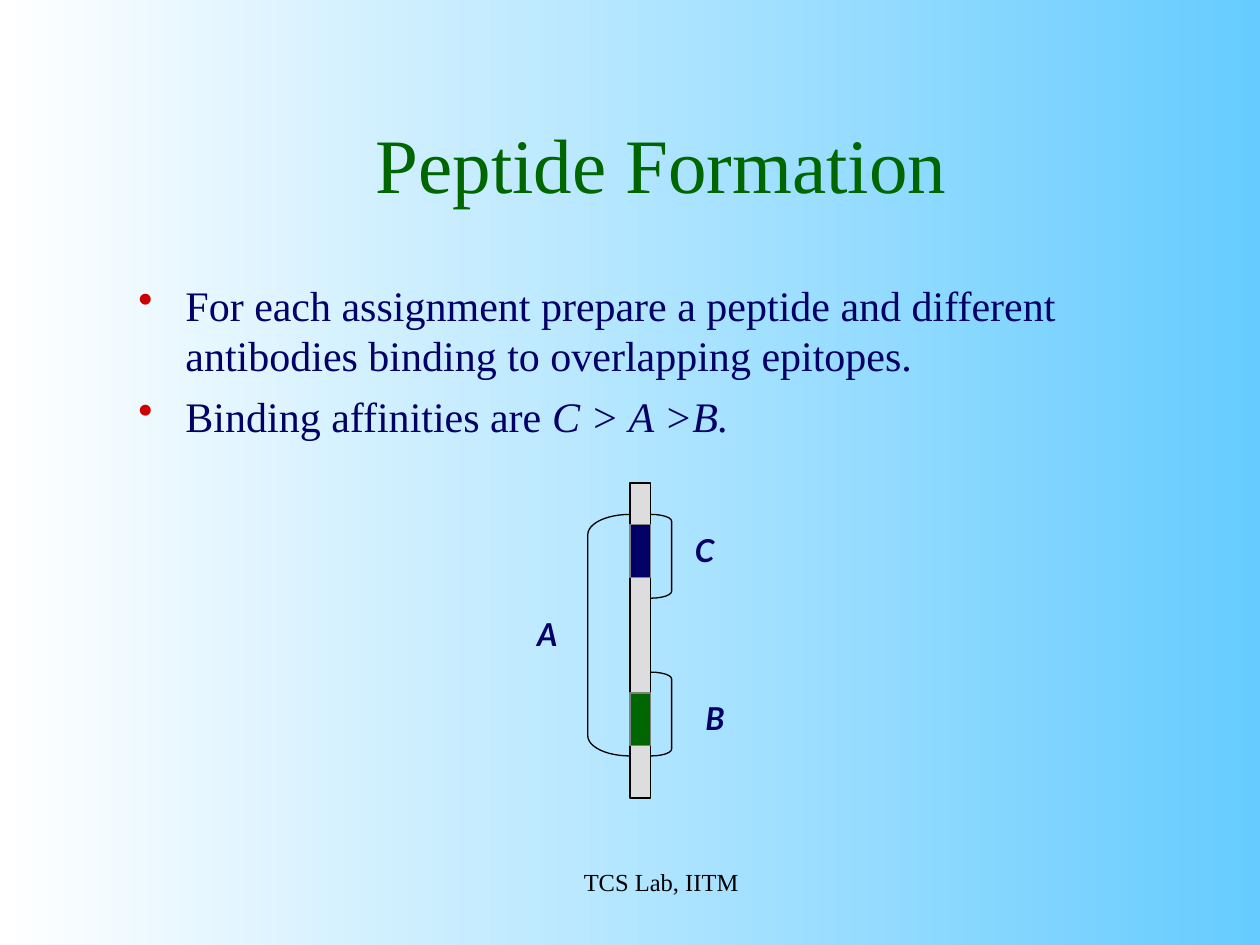
from lxml import etree
from pptx import Presentation
from pptx.dml.color import RGBColor
from pptx.enum import shapes, text
from pptx.oxml.ns import qn
from pptx.util import Cm, Pt

SKY = RGBColor(0x66, 0xCC, 0xFF)
WHITE = RGBColor(0xFF, 0xFF, 0xFF)
BLACK = RGBColor(0, 0, 0)
GREEN = RGBColor(0, 0x66, 0)
NAVY = RGBColor(0, 0, 0x66)
RED = RGBColor(0xCC, 0, 0)
PALE_GREY = RGBColor(0xDD, 0xDD, 0xDD)
MID_GREY = RGBColor(0x80, 0x80, 0x80)

SERIF = "Times New Roman"
SANS = "Lato"

CHAIN_LEFT, CHAIN_WIDTH = 12.7, 0.42
CHAIN_RIGHT = CHAIN_LEFT + CHAIN_WIDTH


def paint_background(slide):
    fill = slide.background.fill
    fill.gradient()
    fill.gradient_angle = 180
    for stop, color, position in zip(fill.gradient_stops, (SKY, WHITE), (0, 1)):
        stop.color.rgb = color
        stop.position = position


def add_text_frame(slide, left, top, width, height):
    frame = slide.shapes.add_textbox(Cm(left), Cm(top), Cm(width), Cm(height)).text_frame
    frame.word_wrap = True
    return frame


def style(paragraph, size, color, name=SERIF):
    font = paragraph.font
    font.size, font.name = Pt(size), name
    font.color.rgb = color
    return font


def add_centred_line(slide, words, box, size, color, anchor=text.MSO_ANCHOR.TOP):
    frame = add_text_frame(slide, *box)
    frame.vertical_anchor = anchor
    line = frame.paragraphs[0]
    line.text = words
    line.alignment = text.PP_ALIGN.CENTER
    style(line, size, color)


def add_bullet(paragraph):
    props = paragraph._p.get_or_add_pPr()
    props.set("marL", str(Cm(0.95)))
    props.set("indent", str(-Cm(0.95)))
    bullet_color = etree.SubElement(props, qn("a:buClr"))
    etree.SubElement(bullet_color, qn("a:srgbClr"), val=str(RED))
    etree.SubElement(props, qn("a:buChar"), char="•")


def add_points(slide, points):
    """Each point is a plain part followed by an italic part."""
    frame = add_text_frame(slide, 2.54, 5.5, 21.59, 11.43)
    for index, (plain, italic) in enumerate(points):
        point = frame.add_paragraph() if index else frame.paragraphs[0]
        add_bullet(point)
        style(point, 24, NAVY)
        if index:
            point.space_before = Pt(6)
        point.add_run().text = plain
        if italic:
            run = point.add_run()
            run.text = italic
            run.font.italic = True


def add_outlined(slide, kind, left, top, width, height, line_color):
    shape = slide.shapes.add_shape(kind, Cm(left), Cm(top), Cm(width), Cm(height))
    shape.shadow.inherit = False
    shape.line.color.rgb = line_color
    shape.line.width = Pt(0.75)
    return shape


def add_segment(slide, top, height, color, line_color=MID_GREY):
    segment = add_outlined(slide, shapes.MSO_SHAPE.RECTANGLE, CHAIN_LEFT, top,
                           CHAIN_WIDTH, height, line_color)
    segment.fill.solid()
    segment.fill.fore_color.rgb = color


def add_bracket(slide, kind, left, top, width, height, curve):
    bracket = add_outlined(slide, kind, left, top, width, height, BLACK)
    bracket.fill.background()
    bracket.adjustments[0] = curve


def add_antibody_label(slide, letter, left, top):
    label = add_text_frame(slide, left, top, 1.06, 1.02).paragraphs[0]
    label.text = letter
    font = style(label, 18, NAVY, SANS)
    font.bold = font.italic = True


def main():
    deck = Presentation()
    deck.slide_width, deck.slide_height = Cm(25.4), Cm(19.05)
    slide = deck.slides.add_slide(deck.slide_layouts[6])
    paint_background(slide)

    add_centred_line(slide, "Peptide Formation", (2.54, 1.69, 21.59, 3.18),
                     44, GREEN, text.MSO_ANCHOR.MIDDLE)
    add_points(slide, [
        ("For each assignment prepare a peptide and different antibodies "
         "binding to overlapping epitopes.", ""),
        ("Binding affinities are ", "C > A >B."),
    ])

    add_segment(slide, 9.74, 6.35, PALE_GREY, BLACK)
    add_segment(slide, 10.58, 1.06, NAVY)
    add_segment(slide, 13.97, 1.06, GREEN)

    add_bracket(slide, shapes.MSO_SHAPE.LEFT_BRACKET, 11.85, 10.37,
                CHAIN_LEFT - 11.85, 4.87, 0.48)
    for top in (10.37, 13.55):
        add_bracket(slide, shapes.MSO_SHAPE.RIGHT_BRACKET, CHAIN_RIGHT, top,
                    0.42, 1.69, 0.33)

    for letter, left, top in (("A", 10.58, 12.28), ("C", 13.76, 10.58), ("B", 13.97, 13.97)):
        add_antibody_label(slide, letter, left, top)

    add_centred_line(slide, "TCS Lab, IITM", (9.31, 17.36, 8.04, 1.27), 14, BLACK)
    deck.save("out.pptx")


if __name__ == "__main__":
    main()
